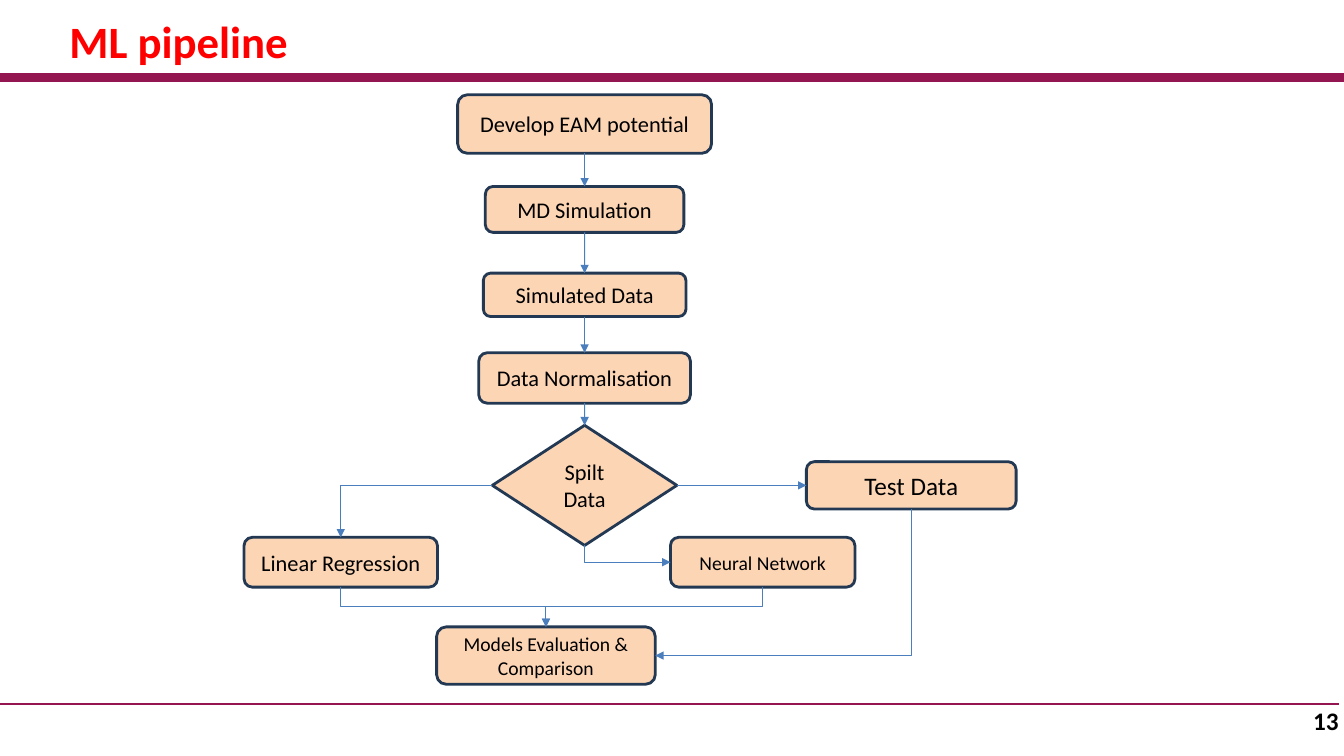
from dataclasses import dataclass

from lxml.etree import SubElement
from pptx import Presentation
from pptx.dml.color import RGBColor
from pptx.enum.shapes import MSO_CONNECTOR, MSO_SHAPE
from pptx.enum.text import MSO_ANCHOR, PP_ALIGN
from pptx.oxml.ns import qn
from pptx.shapes.autoshape import Shape
from pptx.shapes.connector import Connector
from pptx.slide import Slide
from pptx.text.text import TextFrame
from pptx.util import Pt

RED = RGBColor(0xFF, 0x00, 0x00)
BLACK = RGBColor(0x00, 0x00, 0x00)
MAROON = RGBColor(0x94, 0x16, 0x51)
PEACH = RGBColor(0xFC, 0xD5, 0xB5)
NAVY = RGBColor(0x23, 0x39, 0x53)
BLUE = RGBColor(0x4B, 0x7E, 0xBC)

# Connection sites shared by the rounded box and the diamond
TOP, LEFT, BOTTOM, RIGHT = range(4)
MAIN_COLUMN = 417.6


@dataclass(frozen=True)
class Step:
    text: str
    center: float
    top: float
    width: float
    height: float
    size: float = 16
    outline: MSO_SHAPE = MSO_SHAPE.ROUNDED_RECTANGLE


@dataclass(frozen=True)
class Flow:
    source: str
    source_site: int
    target: str
    target_site: int
    preset: str = "line"


STEPS = [
    Step("Develop EAM potential", MAIN_COLUMN, 67.7, 181.4, 41.8),
    Step("MD Simulation", MAIN_COLUMN, 133.2, 141.8, 32.8),
    Step("Simulated Data", MAIN_COLUMN, 195.1, 144.7, 31),
    Step("Data Normalisation", MAIN_COLUMN, 252, 151.2, 36),
    Step("Spilt Data", MAIN_COLUMN, 303.8, 131.8, 85.8, outline=MSO_SHAPE.DIAMOND),
    Step("Test Data", 650.9, 329.8, 149.8, 33.8, size=18),
    Step("Linear Regression", 243.4, 383.8, 138.2, 35.6),
    Step("Neural Network", 544.8, 383.8, 131.8, 35.6, size=14),
    Step("Models Evaluation & Comparison", 390, 447.8, 156.2, 41, size=14),
]

MAIN_CHAIN = [step.text for step in STEPS[:5]]
EVALUATION = STEPS[-1].text

FLOWS = [Flow(a, BOTTOM, b, TOP) for a, b in zip(MAIN_CHAIN, MAIN_CHAIN[1:])] + [
    Flow("Spilt Data", LEFT, "Linear Regression", TOP, "bentConnector2"),
    Flow("Spilt Data", RIGHT, "Test Data", LEFT),
    Flow("Spilt Data", BOTTOM, "Neural Network", LEFT, "bentConnector2"),
    Flow("Linear Regression", BOTTOM, EVALUATION, TOP, "bentConnector3"),
    Flow("Neural Network", BOTTOM, EVALUATION, TOP, "bentConnector3"),
    Flow("Test Data", BOTTOM, EVALUATION, RIGHT, "bentConnector2"),
]


def write_text(frame: TextFrame, text: str, *, size: float, color: RGBColor = BLACK,
               bold: bool = False, align: PP_ALIGN = PP_ALIGN.LEFT) -> None:
    frame.word_wrap = True
    paragraph = frame.paragraphs[0]
    paragraph.alignment = align
    run = paragraph.add_run()
    run.text = text
    run.font.name = "Calibri"
    run.font.size = Pt(size)
    run.font.bold = bold
    run.font.color.rgb = color


def style_line(line: Connector, color: RGBColor, width: float) -> None:
    line.line.color.rgb = color
    line.line.width = Pt(width)
    SubElement(line._element.spPr, qn("a:effectLst"))


def draw_rule(slide: Slide, y: float, right: float, width: float) -> None:
    rule = slide.shapes.add_connector(MSO_CONNECTOR.STRAIGHT, 0, Pt(y), Pt(right), Pt(y))
    style_line(rule, MAROON, width)


def draw_step(slide: Slide, step: Step) -> Shape:
    box = slide.shapes.add_shape(step.outline, Pt(step.center - step.width / 2),
                                 Pt(step.top), Pt(step.width), Pt(step.height))
    box.shadow.inherit = False
    box.fill.solid()
    box.fill.fore_color.rgb = PEACH
    box.line.color.rgb = NAVY
    box.line.width = Pt(2)
    box.text_frame.vertical_anchor = MSO_ANCHOR.MIDDLE
    write_text(box.text_frame, step.text, size=step.size, align=PP_ALIGN.CENTER)
    return box


def turn_downward(elbow: Connector) -> None:
    """Rotate an elbow a quarter turn so that it leaves its source downward."""
    goes_right = elbow.end_x > elbow.begin_x
    middle_x = elbow.left + elbow.width // 2
    middle_y = elbow.top + elbow.height // 2
    elbow.width, elbow.height = elbow.height, elbow.width
    elbow.left = middle_x - elbow.width // 2
    elbow.top = middle_y - elbow.height // 2
    frame = elbow._element.spPr.find(qn("a:xfrm"))
    frame.set("rot", "16200000" if goes_right else "5400000")
    frame.set("flipH", "1" if goes_right else "0")


def draw_flow(slide: Slide, flow: Flow, boxes: dict[str, Shape]) -> None:
    straight = flow.preset == "line"
    kind = MSO_CONNECTOR.STRAIGHT if straight else MSO_CONNECTOR.ELBOW
    arrow = slide.shapes.add_connector(kind, 0, 0, 0, 0)
    arrow.begin_connect(boxes[flow.source], flow.source_site)
    arrow.end_connect(boxes[flow.target], flow.target_site)
    properties = arrow._element.spPr
    properties.find(qn("a:prstGeom")).set("prst", flow.preset)
    if not straight and flow.source_site == BOTTOM:
        turn_downward(arrow)
    style_line(arrow, BLUE, 0.75)
    SubElement(properties.find(qn("a:ln")), qn("a:tailEnd"), type="triangle")


def main() -> None:
    deck = Presentation()
    deck.slide_width, deck.slide_height = Pt(960), Pt(540)
    slide = deck.slides.add_slide(deck.slide_layouts[6])

    # Header and footer rules
    draw_rule(slide, 55.4, 960, 6)
    draw_rule(slide, 502.6, 956.2, 1.5)

    # Page number
    page_number = slide.shapes.add_textbox(Pt(907.2), Pt(504), Pt(49), Pt(28.8)).text_frame
    page_number.margin_left = page_number.margin_right = 0
    page_number.margin_top = page_number.margin_bottom = 0
    write_text(page_number, "13", size=18, bold=True, align=PP_ALIGN.RIGHT)

    # Title
    title = slide.shapes.add_textbox(Pt(42.5), Pt(6.5), Pt(458), Pt(46))
    write_text(title.text_frame, "ML pipeline", size=32, color=RED, bold=True)

    # Flowchart
    boxes = {step.text: draw_step(slide, step) for step in STEPS}
    for flow in FLOWS:
        draw_flow(slide, flow, boxes)

    deck.save("out.pptx")


if __name__ == "__main__":
    main()
